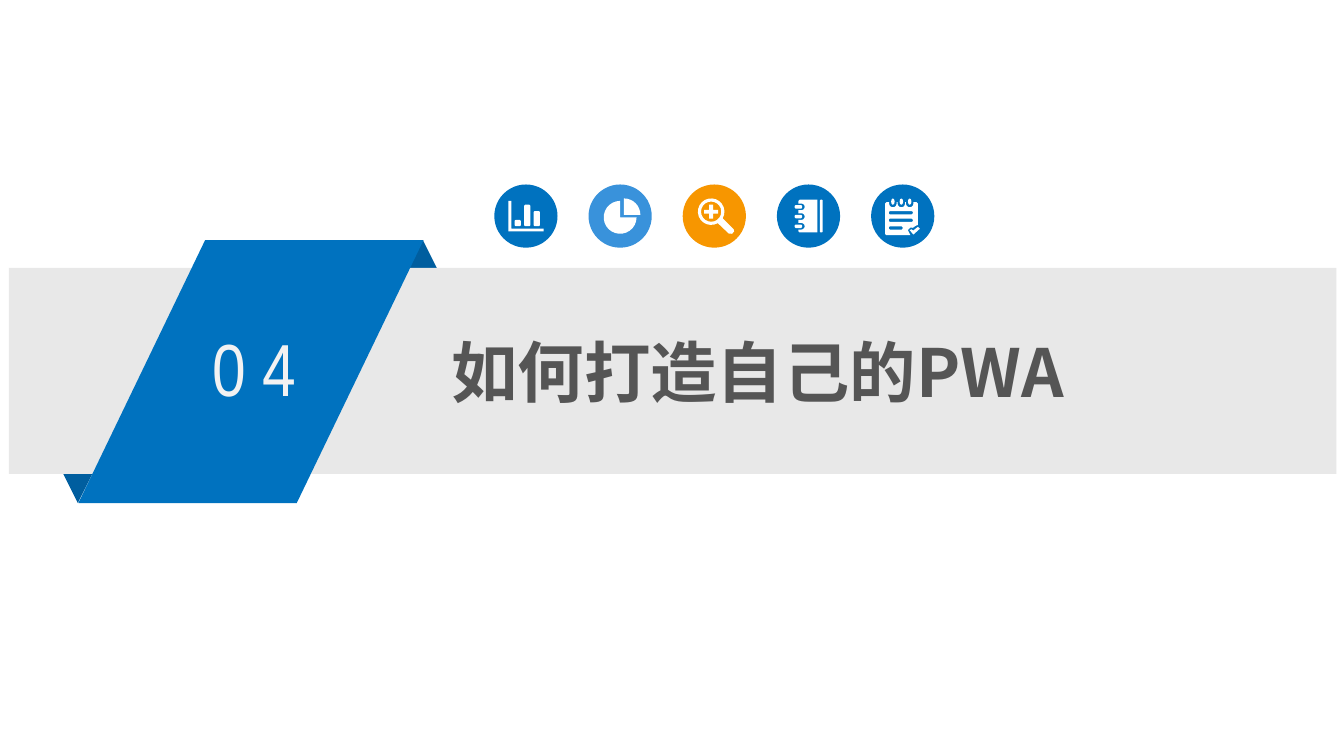
from math import cos, radians, sin
from pptx import Presentation
from pptx.dml.color import RGBColor as Rgb
from pptx.enum.shapes import MSO_SHAPE as Kind
from pptx.enum.text import MSO_ANCHOR as Anchor, MSO_AUTO_SIZE as Fit, PP_ALIGN as Align
from pptx.oxml.ns import qn
from pptx.util import Inches as In, Pt
from lxml import etree

WIDE, HIGH = 10.63, 5.91
CELLS = 50
HUES = {
    "blue": "0072BF", "dark": "005E9F", "sky": "3992DB", "gold": "F79600",
    "band": "E8E8E8", "text": "555555", "pale": "F2F2F2", "white": "FFFFFF",
}


def arc(x, y, wide, high, start=0, end=360, steps=20):
    turns = [radians(start + (end - start) * n / steps) for n in range(steps + 1)]
    return [(x + wide * cos(turn), y + high * sin(turn)) for turn in turns]


def slab(x, y, wide, high, cut=0.8):
    right, low = x + wide, y + high
    return [
        (x + cut, y), (right - cut, y), (right, y + cut), (right, low - cut),
        (right - cut, low), (x + cut, low), (x, low - cut), (x, y + cut),
    ]


def chart():
    axes = [(11, 13), (13.4, 13), (13.4, 34.8), (39, 34.8), (39, 37), (11, 37)]
    return [axes, slab(16, 28, 5, 5), slab(23.5, 16, 5, 17), slab(31, 21, 5, 12)]


def share():
    return [
        [(25, 26)] + arc(25, 26, 13, 13, 0, 270),
        [(28, 24)] + arc(28, 24, 13, 13, 270, 360, 8),
    ]


def lens():
    grip = [(40.3, 35.4), (40.7, 37.2), (39, 39), (36.4, 38.8)]
    plus = [
        (21, 16), (24, 16), (24, 20), (28, 20), (28, 23), (24, 23),
        (24, 27), (21, 27), (21, 23), (17, 23), (17, 20), (21, 20),
    ]
    rim = arc(22.5, 21.5, 10.5, 10.5, 60, 390)
    return [rim + grip, arc(22.5, 21.5, 8, 8), plus]


def book():
    body = [(32, 12), (32, 38), (18, 38), (17, 37)]
    for mid in (33.1, 25.4, 17.7):
        body += [(17, mid + 2.6)] + arc(19.5, mid, 2.5, 2.6, 90, -90, 6)
        body.append((17, mid - 2.6))
    body += [(17, 13), (18, 12)]
    rings = [slab(14, mid - 1.4, 6, 2.8) for mid in (33.1, 25.4, 17.7)]
    return [body, slab(34, 12, 2.2, 26, 0.6)] + rings


def notes():
    mids = (17.2, 23.9, 30.5)
    body = [(11, 15), (12, 14)]
    for mid in mids:
        body += [(mid - 3, 14)] + arc(mid, 15, 3, 3, 180, 0, 6) + [(mid + 3, 14)]
    body += [
        (36, 14), (37, 15), (37, 32), (35.5, 32.5), (33, 34.2),
        (31, 34), (29, 36), (31, 40), (12, 40), (11, 39),
    ]
    tick = [(30.4, 36), (32, 35.4), (33.3, 36.4), (37, 33.4), (38.5, 35), (33.4, 39.6)]
    rings = [arc(mid, 13.5, 1.4, 2.5, steps=8) for mid in mids]
    lines = [slab(14, top, span, 2.6) for top, span in ((21, 19), (27, 19), (33, 11))]
    return [body, tick] + rings + lines


ICONS = [("blue", chart), ("sky", share), ("gold", lens), ("blue", book), ("blue", notes)]


def paint(shape, hue):
    shape.shadow.inherit = False
    shape.fill.solid()
    shape.fill.fore_color.rgb = Rgb.from_string(HUES[hue])
    shape.line.fill.background()


def draw(group, kind, box, hue, turn=0):
    shape = group.shapes.add_shape(kind, *map(In, box))
    paint(shape, hue)
    shape.rotation = turn
    return shape


def write(shape, text, size, face, hue, bold=False):
    frame = shape.text_frame
    frame.text = text
    frame.word_wrap = True
    frame.auto_size = Fit.NONE
    frame.vertical_anchor = Anchor.TOP
    frame.margin_left = frame.margin_right = In(0.08)
    frame.margin_top = frame.margin_bottom = In(0.04)
    line = frame.paragraphs[0]
    line.alignment = Align.LEFT
    line.line_spacing = 1.0
    line.space_before = Pt(0)
    font = line.font
    font.name, font.size, font.bold = face, Pt(size), bold
    font.color.rgb = Rgb.from_string(HUES[hue])
    latin = line._p.find(".//" + qn("a:latin"))
    latin.addnext(etree.Element(qn("a:ea"), typeface=face))


def ribbon(slide, box):
    left, top, wide, high = box
    fold = 0.95
    group = slide.shapes.add_group_shape()
    draw(group, Kind.ISOSCELES_TRIANGLE, (left + wide - 0.48, top, fold, fold), "dark")
    draw(group, Kind.ISOSCELES_TRIANGLE,
         (left - 0.48, top + high - fold, fold, fold), "dark", 180)
    draw(group, Kind.RECTANGLE, (0.07, top + 0.22, 10.5, 1.63), "band")
    slant = draw(group, Kind.PARALLELOGRAM, box, "blue")
    slant.adjustments[0] = 0.482
    place = (left + 0.98, top + 0.61, 0.97, 0.79)
    label = group.shapes.add_textbox(*map(In, place))
    write(label, "0 4", 42, "Arial Narrow", "pale")


def heading(slide, box):
    title = slide.shapes.title
    title.left, title.top, title.width, title.height = map(In, box)
    write(title, "如何打造自己的PWA", 37.8, "Noto Sans CJK SC", "text", True)
    slide.shapes.element.append(title.element)


def icon(slide, box, hue, loops):
    left, top, side, _ = box
    cell = side / CELLS
    group = slide.shapes.add_group_shape()
    draw(group, Kind.OVAL, box, hue)
    pen = None
    for loop in loops:
        spots = [(In(left + x * cell), In(top + y * cell)) for x, y in loop]
        if pen:
            pen.move_to(*spots[0])
        else:
            pen = group.shapes.build_freeform(*spots[0])
        pen.add_line_segments(spots[1:], close=True)
    paint(pen.convert_to_shape(), "white")


def icons(slide, box):
    left, top, wide, side = box
    step = (wide - side) / (len(ICONS) - 1)
    for spot, (hue, glyph) in enumerate(ICONS):
        icon(slide, (left + spot * step, top, side, side), hue, glyph())


def main():
    deck = Presentation()
    deck.slide_width, deck.slide_height = In(WIDE), In(HIGH)
    slide = deck.slides.add_slide(deck.slide_layouts[5])
    ribbon(slide, (0.62, 1.9, 2.73, 2.08))
    heading(slide, (3.49, 2.58, 5.8, 0.72))
    icons(slide, (3.91, 1.46, 3.48, 0.5))
    deck.save("out.pptx")


if __name__ == "__main__":
    main()
